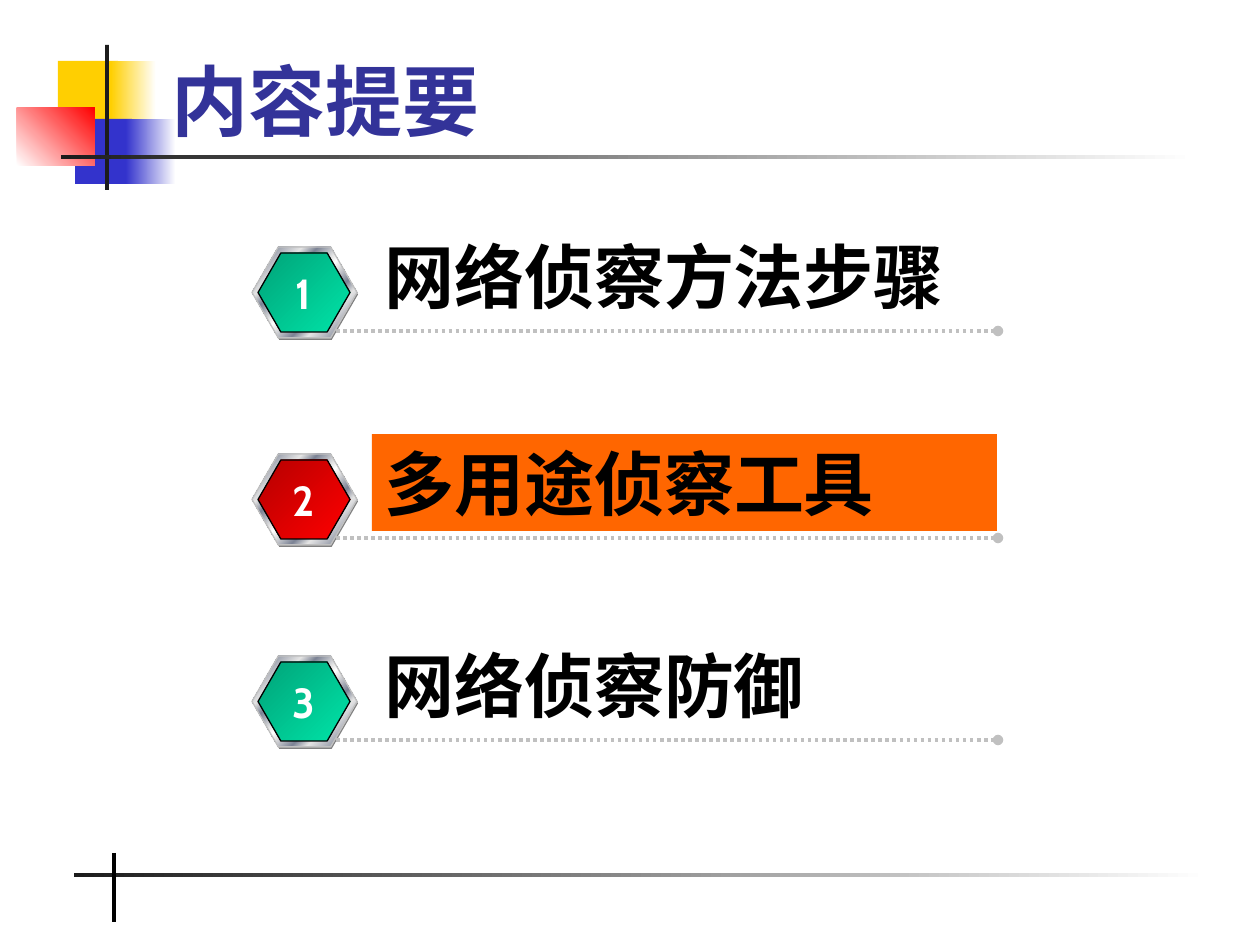
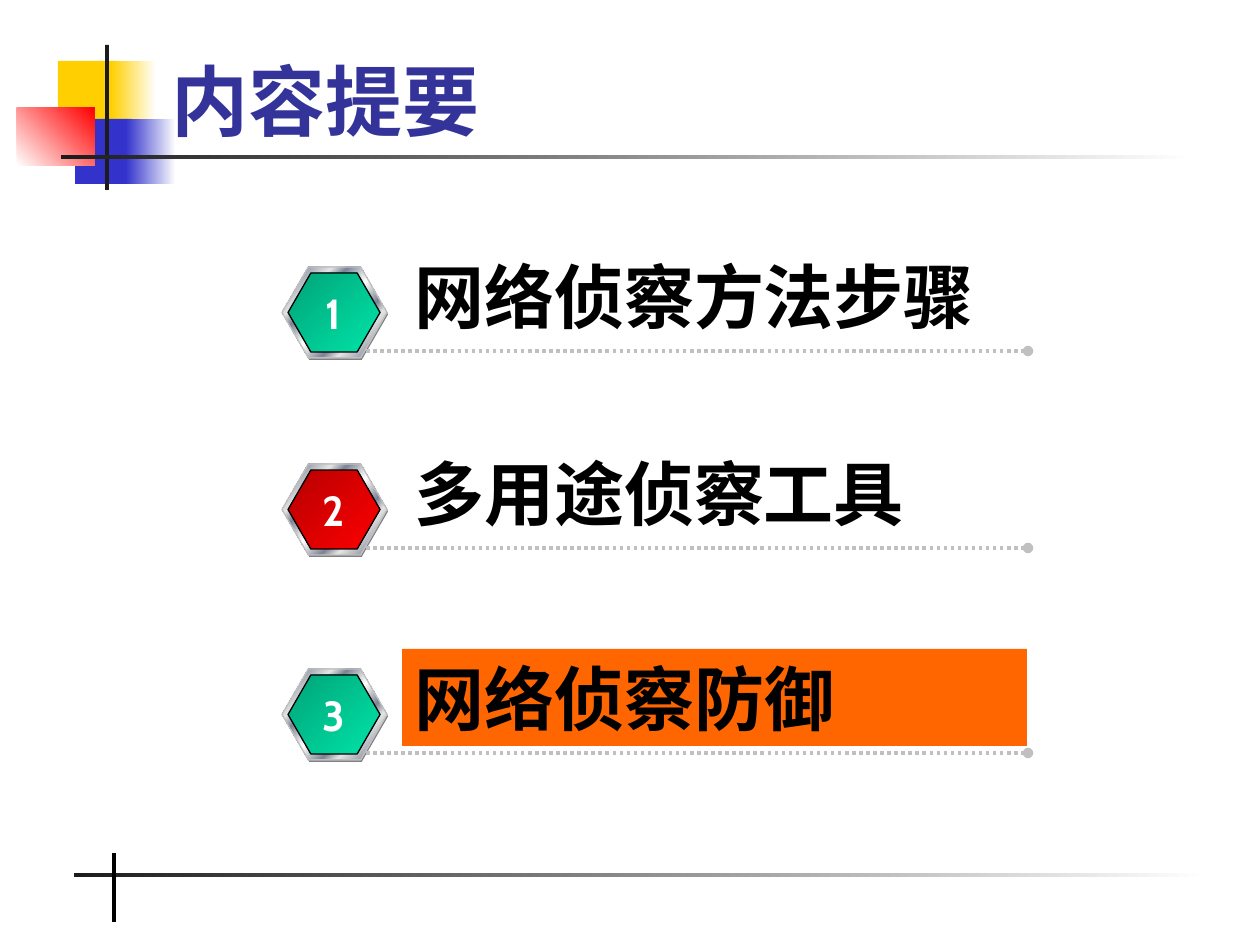
from lxml.etree import SubElement
from pptx import Presentation
from pptx.dml.color import RGBColor
from pptx.enum.dml import MSO_LINE_DASH_STYLE as Dash
from pptx.enum.shapes import MSO_CONNECTOR as Connector, MSO_SHAPE as Shape
from pptx.enum.text import MSO_ANCHOR as Anchor, PP_ALIGN as Align
from pptx.oxml.ns import qn
from pptx.util import Emu, Pt

COLORS = {
    "white": "FFFFFF", "black": "000000", "ink": "1C1C1C", "title": "333399",
    "yellow": "FFCF01", "blue": "3333CC", "red": "FF0000", "orange": "FF6600",
    "gray": "808080", "silver": "C0C0C0", "pale": "E6E6E6", "steel": "7D8496",
    "green_dark": "00A378", "green_light": "00E4A8", "red_dark": "B60000",
}
CHROME = [(0, "pale"), (8, "steel"), (26, "pale"), (34, "steel"), (46, "pale"), (50, "white"),
          (54, "pale"), (66, "steel"), (74, "pale"), (92, "steel"), (100, "pale")]
GREEN = [(0, "green_dark"), (100, "green_light")]
RED = [(0, "red_dark"), (100, "red")]
TOPICS = [("网络侦察方法步骤", GREEN), ("多用途侦察工具", RED), ("网络侦察防御", GREEN)]
AGENDAS = [
    {"left": 252, "tops": (247, 454, 656), "current": 2},
    {"left": 282, "tops": (267, 464, 669), "current": 3},
]


def rgb(name):
    return RGBColor.from_string(COLORS[name])


def px(length):
    return Emu(round(length * 914400 / 126))


class Painter:
    """Holds the deck style and draws on the current page."""

    def __init__(self):
        self.deck = Presentation()
        self.deck.slide_width, self.deck.slide_height = px(1260), px(945)
        self.page = None

    def add_page(self):
        self.page = self.deck.slides.add_slide(self.deck.slide_layouts[6])

    def shape(self, kind, left, top, width, height, fill, angle=0, outline=None):
        shape = self.page.shapes.add_shape(kind, px(left), px(top), px(width), px(height))
        shape.shadow.inherit = False
        if isinstance(fill, str):
            shape.fill.solid()
            shape.fill.fore_color.rgb = rgb(fill)
        else:
            shape.fill.gradient()
            shape.fill.gradient_angle = -angle % 360
            stops = shape._element.spPr.find(".//" + qn("a:gsLst"))
            stops[:] = []
            for position, name in fill:
                stop = SubElement(stops, qn("a:gs"), pos=str(position * 1000))
                SubElement(stop, qn("a:srgbClr"), val=COLORS[name])
        if outline:
            shape.line.color.rgb = rgb(outline)
            shape.line.width = Pt(0.75)
        else:
            shape.line.fill.background()
        return shape

    def rect(self, *place, **look):
        return self.shape(Shape.RECTANGLE, *place, **look)

    def hexagon(self, *place, **look):
        self.shape(Shape.HEXAGON, *place, **look).adjustments[0] = 0.289

    def line(self, start, end, color, width, dotted=False):
        line = self.page.shapes.add_connector(Connector.STRAIGHT, *map(px, start + end))
        line.line.color.rgb = rgb(color)
        line.line.width = Pt(width)
        properties = line._element.spPr
        if dotted:
            line.line.dash_style = Dash.ROUND_DOT
            SubElement(properties.find(qn("a:ln")), qn("a:tailEnd"), type="oval")
        SubElement(properties, qn("a:effectLst"))

    def label(self, box, text, size, color, font="Cabin", align=Align.LEFT,
              anchor=Anchor.TOP, wrap=True):
        frame = box.text_frame
        frame.word_wrap = wrap
        frame.vertical_anchor = anchor
        para = frame.paragraphs[0]
        para.text = text
        para.alignment = align
        para.font.name, para.font.size, para.font.bold = font, Pt(size), True
        para.font.color.rgb = rgb(color)

    def text(self, left, top, width, height, *content, **style):
        box = self.page.shapes.add_textbox(px(left), px(top), px(width), px(height))
        self.label(box, *content, **style)

    def frame(self, title):
        self.rect(58, 61, 60, 65, fill="yellow")
        self.rect(111, 61, 45, 65, fill=[(0, "yellow"), (100, "white")])
        self.rect(75, 119, 57, 65, fill="blue")
        self.rect(126, 119, 50, 65, fill=[(0, "blue"), (100, "white")])
        self.rect(17, 108, 78, 58, fill=[(0, "white"), (100, "red")], angle=315)
        self.rect(105, 45, 4, 145, fill="ink")
        for left, top in ((61, 155), (74, 873)):
            self.rect(left, top, 1134, 4, fill=[(0, "ink"), (100, "white")])
        self.line((114, 853), (114, 922), "black", 2.25)
        self.text(159, 20, 1073, 132, title, 44, "title",
                  font="Times New Roman", anchor=Anchor.BOTTOM)

    def topic(self, left, top, number, name, badge, current):
        self.hexagon(left + 1, top + 2, 105, 91, fill="gray")
        self.hexagon(left, top, 105, 91, fill=CHROME, angle=45, outline="silver")
        self.hexagon(left + 6, top + 6, 92, 79, fill=badge, angle=45, outline="black")
        self.line((left + 84, top + 84), (left + 746, top + 84), "silver", 2, dotted=True)
        place = (left + 120, top - 20)
        if current:
            self.label(self.rect(*place, 625, 97, fill="orange"), name, 40, "black")
        else:
            self.text(*place, 655, 97, name, 40, "black")
        self.text(left + 27, top + 14, 49, 64, str(number), 24, "white",
                  align=Align.CENTER, wrap=False)


def main():
    painter = Painter()
    for agenda in AGENDAS:
        painter.add_page()
        painter.frame("内容提要")
        for number, (top, (name, badge)) in enumerate(zip(agenda["tops"], TOPICS), 1):
            painter.topic(agenda["left"], top, number, name, badge, number == agenda["current"])
    painter.deck.save("out.pptx")


if __name__ == "__main__":
    main()
